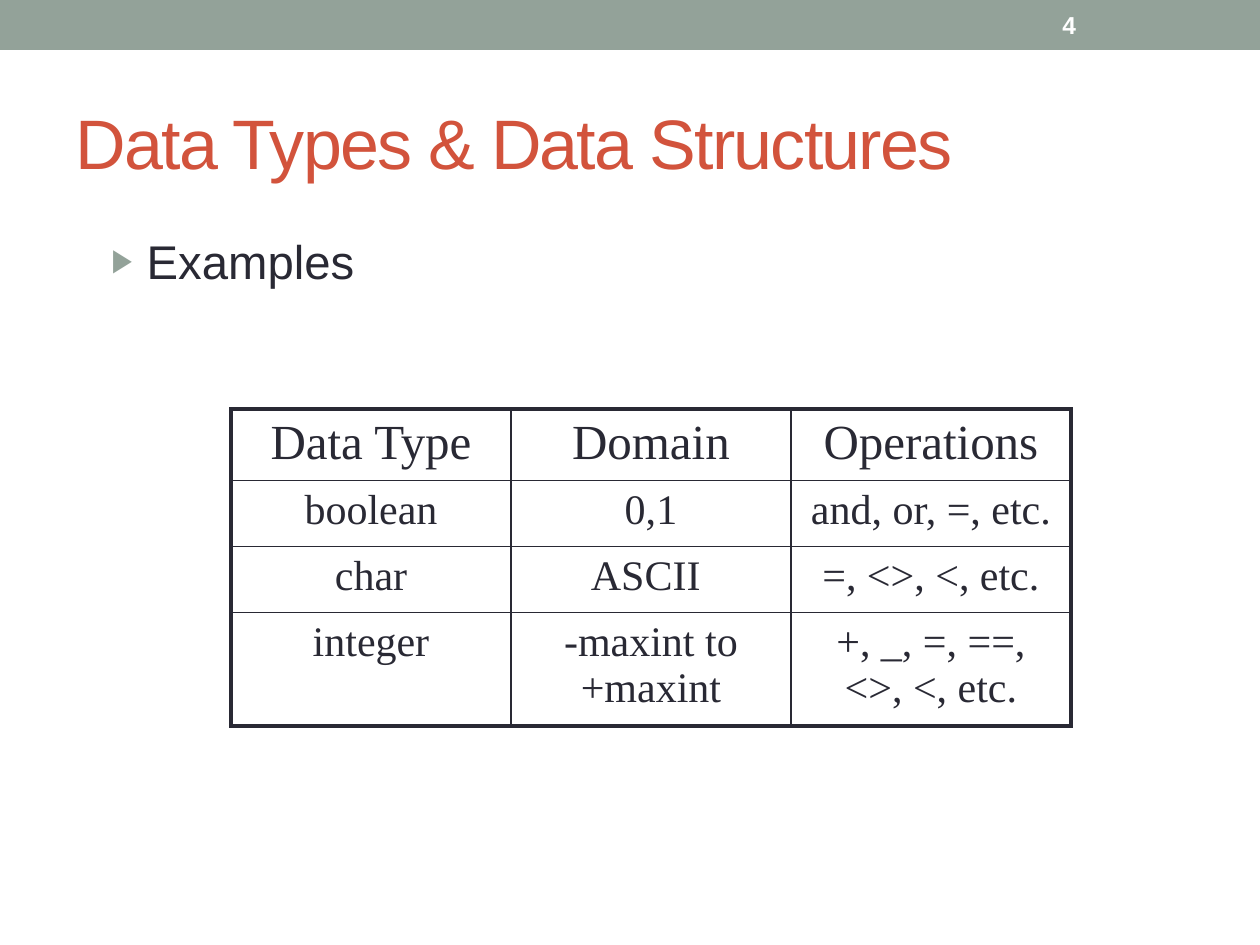
from lxml import etree
from pptx import Presentation
from pptx import util as u
from pptx.dml.color import RGBColor
from pptx.enum import shapes, text
from pptx.oxml.ns import qn

SAGE = RGBColor(0x93, 0xA2, 0x99)
RUST = RGBColor(0xD2, 0x53, 0x3C)
INK = RGBColor(0x29, 0x29, 0x34)
WHITE = RGBColor(0xFF, 0xFF, 0xFF)
SANS, SERIF = "Arial", "Times New Roman"
THIN, THICK = 1, 2.25

COLUMN_WIDTH = 280
ROW_HEIGHTS = [67, 66, 66, 106]
DATA_TYPES = [
    ["Data Type", "Domain", "Operations"],
    ["boolean", "0,1", "and, or, =, etc."],
    ["char", "ASCII ", "=, <>, <, etc."],
    ["integer", "-maxint to +maxint", "+, _, =, ==, <>, <, etc."],
]


def px(pixels):
    """Turn pixels (126 to the inch) into EMU."""
    return u.Emu(round(pixels * 914400 / 126))


def add_span(para, words, size, font, color, bold=False):
    """Add one formatted run to a paragraph."""
    span = para.add_run()
    span.text = words
    span.font.size = u.Pt(size)
    span.font.name = font
    span.font.color.rgb = color
    span.font.bold = bold
    return span


def add_band(page):
    """Draw the coloured band along the top edge."""
    band = page.shapes.add_shape(shapes.MSO_SHAPE.RECTANGLE, 0, 0, px(1260), px(50))
    band.shadow.inherit = False
    band.fill.solid()
    band.fill.fore_color.rgb = SAGE
    band.line.fill.background()


def set_title(page, words):
    """Place and format the title placeholder."""
    title = page.shapes.title
    title.left, title.top, title.width, title.height = map(px, (63, 73, 1134, 136))
    frame = title.text_frame
    frame.word_wrap = True
    frame.auto_size = text.MSO_AUTO_SIZE.NONE
    frame.vertical_anchor = text.MSO_ANCHOR.MIDDLE
    para = frame.paragraphs[0]
    para.alignment = text.PP_ALIGN.LEFT
    span = add_span(para, words, 40, SANS, RUST)
    span.font._element.set("spc", "-100")


def add_text_box(page, left, top, width, height, anchor):
    """Add a wrapping text box and return its first paragraph."""
    box = page.shapes.add_textbox(*map(px, (left, top, width, height)))
    box.text_frame.word_wrap = True
    box.text_frame.vertical_anchor = anchor
    return box.text_frame.paragraphs[0]


def set_bullet(para, char, color, percent):
    """Give a paragraph a hanging bullet."""
    props = para._p.get_or_add_pPr()
    props.set("marL", str(u.Inches(0.4)))
    props.set("indent", str(u.Inches(-0.28)))
    bullet_color = etree.SubElement(props, qn("a:buClr"))
    etree.SubElement(bullet_color, qn("a:srgbClr"), val=str(color))
    etree.SubElement(props, qn("a:buSzPct"), val=str(percent * 1000))
    etree.SubElement(props, qn("a:buFont"), typeface=SANS)
    etree.SubElement(props, qn("a:buChar"), char=char)


def set_borders(cell, widths):
    """Draw the left, right, top and bottom borders of a cell."""
    props = cell._tc.get_or_add_tcPr()
    for index, (side, width) in enumerate(zip("LRTB", widths)):
        line = etree.Element(qn("a:ln" + side), w=str(u.Pt(width)))
        fill = etree.SubElement(line, qn("a:solidFill"))
        etree.SubElement(fill, qn("a:srgbClr"), val=str(INK))
        props.insert(index, line)


def add_data_table(page, left, top):
    """Add the table with a thick frame and thin inner lines."""
    rows, columns = len(DATA_TYPES), len(DATA_TYPES[0])
    table = page.shapes.add_table(
        rows, columns, px(left), px(top),
        px(COLUMN_WIDTH * columns), px(sum(ROW_HEIGHTS))).table
    table.first_row = table.horz_banding = False
    for column in table.columns:
        column.width = px(COLUMN_WIDTH)
    for r, (height, entries) in enumerate(zip(ROW_HEIGHTS, DATA_TYPES)):
        table.rows[r].height = px(height)
        for c, words in enumerate(entries):
            cell = table.cell(r, c)
            cell.fill.background()
            para = cell.text_frame.paragraphs[0]
            para.alignment = text.PP_ALIGN.CENTER
            add_span(para, words, 28 if r == 0 else 24, SERIF, INK)
            outer = (c == 0, c == columns - 1, r == 0, r == rows - 1)
            set_borders(cell, [THICK if edge else THIN for edge in outer])


def main():
    """Build the slide and save it."""
    deck = Presentation()
    deck.slide_width, deck.slide_height = px(1260), px(945)
    page = deck.slides.add_slide(deck.slide_layouts[5])
    add_band(page)
    set_title(page, "Data Types & Data Structures")
    examples = add_text_box(page, 84, 226, 1134, 624, text.MSO_ANCHOR.TOP)
    examples.space_before = u.Pt(4)
    set_bullet(examples, "\u25b6", SAGE, 68)
    add_span(examples, "Examples", 27, SANS, INK)
    add_data_table(page, 231, 409)
    number = add_text_box(page, 1050, 2, 147, 46, text.MSO_ANCHOR.MIDDLE)
    add_span(number, "4", 14, SANS, WHITE, bold=True)
    deck.save("out.pptx")


main()
